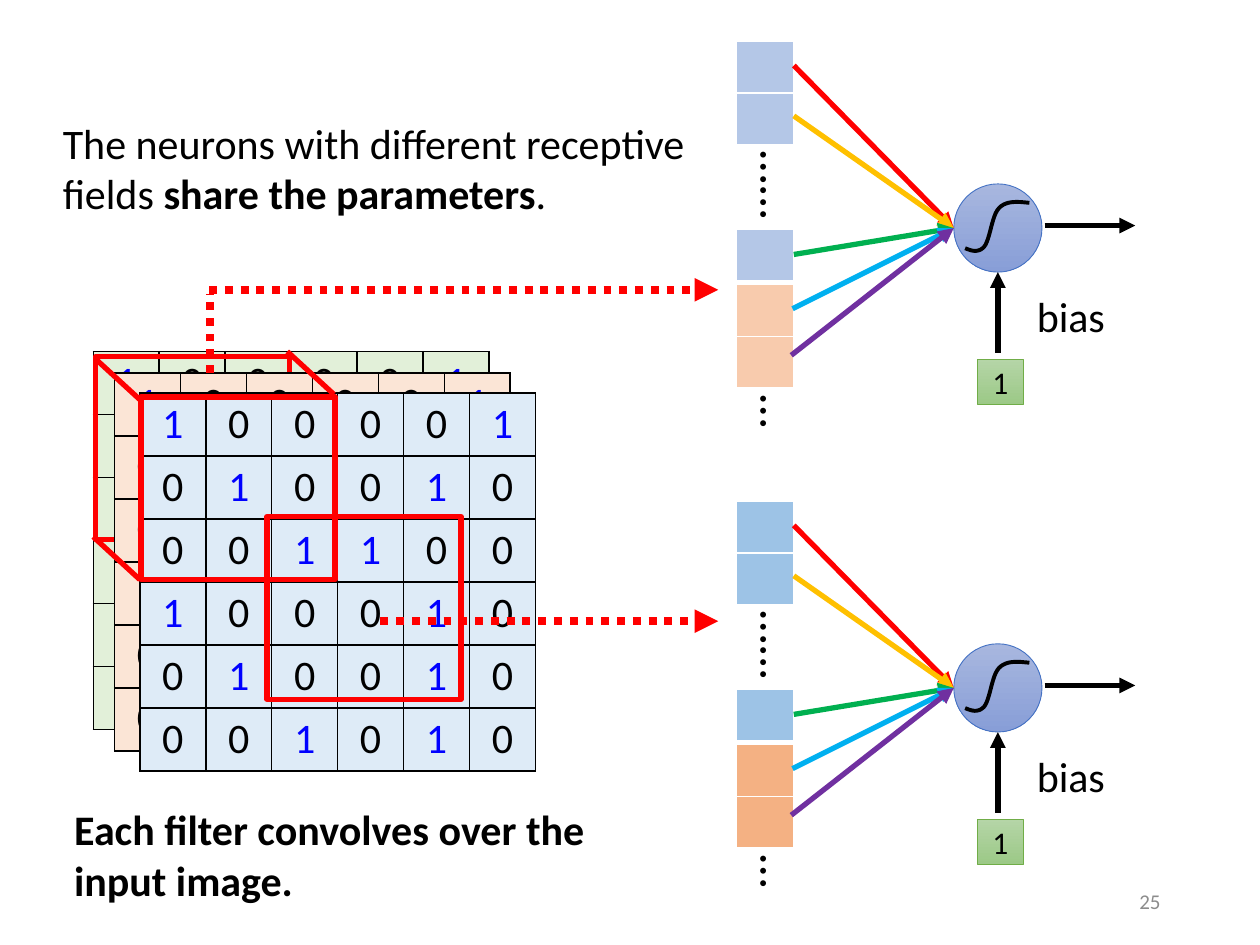
"""Build a slide on neurons that share parameters across receptive fields."""
from dataclasses import dataclass

from lxml.etree import SubElement
from pptx import Presentation
from pptx.dml.color import RGBColor as Rgb
from pptx.enum.dml import MSO_LINE_DASH_STYLE as Dash
from pptx.enum.shapes import MSO_CONNECTOR as Connector, MSO_SHAPE as Preset
from pptx.enum.text import MSO_ANCHOR as Anchor, MSO_AUTO_SIZE as AutoSize, PP_ALIGN as Align
from pptx.oxml.ns import qn
from pptx.util import Pt

PX = 9144
FONT = "Calibri"
BLACK = Rgb(0x00, 0x00, 0x00)
GREY = Rgb(0x8C, 0x8C, 0x8C)
RED = Rgb(0xFF, 0x00, 0x00)
DIGIT_BLUE = Rgb(0x00, 0x00, 0xFF)
GOLD = Rgb(0xFF, 0xC0, 0x00)
GREEN = Rgb(0x00, 0xB0, 0x50)
SKY = Rgb(0x00, 0xB0, 0xF0)
PURPLE = Rgb(0x70, 0x30, 0xA0)
NEURON_TOP, NEURON_BOTTOM = Rgb(0xA8, 0xB7, 0xDF), Rgb(0x88, 0x9E, 0xD7)
NEURON_LINE = Rgb(0x44, 0x72, 0xC4)
BIAS_TOP, BIAS_BOTTOM = Rgb(0xB5, 0xD5, 0xA7), Rgb(0x9C, 0xC9, 0x87)
BIAS_LINE = Rgb(0x70, 0xAD, 0x47)

PIXELS = ("100001", "010010", "001100", "100010", "010010", "001010")
SIGMOID = (
    ((817, 161), (808, 160), (799, 159), (793, 165)),
    ((793, 165), (787, 171), (786, 190), (781, 196)),
    ((781, 196), (776, 201), (771, 199), (766, 197)),
)


@dataclass(frozen=True)
class Neuron:
    """One neuron drawing: its vertical shift and input colours."""
    shift: int
    upper: Rgb
    lower: Rgb


@dataclass(frozen=True)
class Channel:
    """One channel of the input image."""
    left: int
    top: int
    fill: Rgb


@dataclass(frozen=True)
class Words:
    """A run of text."""
    text: str
    bold: bool = False


NEURONS = (
    Neuron(0, Rgb(0xB4, 0xC7, 0xE7), Rgb(0xF8, 0xCB, 0xAD)),
    Neuron(365, Rgb(0x9D, 0xC3, 0xE6), Rgb(0xF4, 0xB1, 0x83)),
)
BACK = Channel(74, 279, Rgb(0xE2, 0xF0, 0xD9))
MIDDLE = Channel(91, 296, Rgb(0xFB, 0xE5, 0xD6))
FRONT = Channel(111, 312, Rgb(0xDE, 0xEB, 0xF7))
INPUTS = ((630, 52, RED), (630, 92, GOLD), (630, 202, GREEN), (629, 245, SKY), (628, 282, PURPLE))


def emu(*lengths: float) -> list[int]:
    """Turn px lengths into EMU."""
    return [round(length * PX) for length in lengths]


def add_run(para, words: Words, size: int, colour: Rgb) -> None:
    """Append one formatted run to a paragraph."""
    run = para.add_run()
    run.text = words.text
    run.font.name, run.font.size, run.font.bold = FONT, Pt(size), words.bold
    run.font.color.rgb = colour


def add_text(page, at: tuple, runs: list[Words], size: int, colour: Rgb = BLACK, rotation: int = 0):
    """Add a wrapping text box and return it."""
    box = page.shapes.add_textbox(*emu(*at))
    box.rotation = rotation
    box.text_frame.word_wrap = True
    box.text_frame.auto_size = AutoSize.SHAPE_TO_FIT_TEXT
    for words in runs:
        add_run(box.text_frame.paragraphs[0], words, size, colour)
    return box


def add_line(page, start: tuple, end: tuple, colour: Rgb, width: float = 3,
             arrow: bool = True, dotted: bool = False) -> None:
    """Add a straight line, with an arrowhead at its end if wanted."""
    link = page.shapes.add_connector(Connector.STRAIGHT, *emu(*start, *end))
    link.line.color.rgb = colour
    link.line.width = Pt(width)
    if dotted:
        link.line.dash_style = Dash.ROUND_DOT
    if arrow:
        SubElement(link.line._get_or_add_ln(), qn("a:tailEnd"), type="triangle")
    SubElement(link._element.spPr, qn("a:effectLst"))


def add_gradient_shape(page, preset, at: tuple, top: Rgb, bottom: Rgb, outline: Rgb):
    """Add a shape shaded from top to bottom and return it."""
    shape = page.shapes.add_shape(preset, *emu(*at))
    shape.shadow.inherit = False
    shape.fill.gradient()
    shape.fill.gradient_angle = 270
    for stop, colour in zip(shape.fill.gradient_stops, (top, bottom)):
        stop.color.rgb = colour
    shape.line.color.rgb = outline
    shape.line.width = Pt(0.5)
    return shape


def add_field(page, left: int, top: int) -> None:
    """Outline a receptive field in red."""
    field = page.shapes.add_shape(Preset.RECTANGLE, *emu(left, top, 154, 145))
    field.shadow.inherit = False
    field.fill.background()
    field.line.color.rgb = RED
    field.line.width = Pt(3)


def add_inputs(page, top: int, count: int, colour: Rgb) -> None:
    """Add a column of input cells."""
    table = page.shapes.add_table(count, 1, *emu(584, top, 46, 41 * count)).table
    for cell in table.iter_cells():
        cell.fill.solid()
        cell.fill.fore_color.rgb = colour


def add_borders(cell) -> None:
    """Give a cell thin black borders, ahead of its fill."""
    props = cell._tc.get_or_add_tcPr()
    for index, side in enumerate(("a:lnL", "a:lnR", "a:lnT", "a:lnB")):
        border = SubElement(props, qn(side), w=str(Pt(1)))
        fill = SubElement(border, qn("a:solidFill"))
        SubElement(fill, qn("a:srgbClr"), val=str(BLACK))
        props.insert(index, border)


def add_channel(page, channel: Channel) -> None:
    """Add one channel as a grid of digits."""
    size = len(PIXELS)
    table = page.shapes.add_table(size, size, *emu(channel.left, channel.top, 314, 300)).table
    for cell, digit in zip(table.iter_cells(), "".join(PIXELS)):
        cell.margin_top, cell.margin_bottom = emu(4, 4)
        cell.fill.solid()
        cell.fill.fore_color.rgb = channel.fill
        add_borders(cell)
        para = cell.text_frame.paragraphs[0]
        para.alignment = Align.CENTER
        add_run(para, Words(digit), 24, DIGIT_BLUE if digit == "1" else BLACK)


def add_sigmoid(page, shift: int):
    """Add the activation curve and return it."""
    points = []
    for a, b, c, d in SIGMOID:
        for step in range(1, 13):
            t = step / 12
            weights = ((1 - t) ** 3, 3 * t * (1 - t) ** 2, 3 * t * t * (1 - t), t ** 3)
            x, y = (sum(w * v for w, v in zip(weights, axis)) for axis in zip(a, b, c, d))
            points.append(emu(x, y + shift))
    first_x, first_y = SIGMOID[0][0]
    builder = page.shapes.build_freeform(*emu(first_x, first_y + shift))
    builder.add_line_segments(points, close=False)
    curve = builder.convert_to_shape()
    curve.shadow.inherit = False
    curve.fill.background()
    curve.line.color.rgb = BLACK
    curve.line.width = Pt(2.25)
    return curve


def add_neuron(page, neuron: Neuron) -> None:
    """Add a neuron with its inputs, bias and output."""
    dy = neuron.shift
    add_inputs(page, 33 + dy, 2, neuron.upper)
    add_inputs(page, 182 + dy, 1, neuron.upper)
    add_inputs(page, 226 + dy, 2, neuron.lower)
    for top, dots in ((122, "…..."), (316, "…")):
        add_text(page, (578, top + dy, 82, 57), [Words(dots)], 28, rotation=90)
    body = add_gradient_shape(page, Preset.OVAL, (757, 146 + dy, 70, 70),
                              NEURON_TOP, NEURON_BOTTOM, NEURON_LINE)
    page.shapes.add_group_shape([body, add_sigmoid(page, dy)])
    add_line(page, (829, 179 + dy), (901, 179 + dy), BLACK)
    for x, y, colour in INPUTS:
        add_line(page, (x, y + dy), (757, 181 + dy), colour)
    add_line(page, (792, 280 + dy), (792, 216 + dy), BLACK)
    bias = add_gradient_shape(page, Preset.RECTANGLE, (776, 285 + dy, 36, 36),
                              BIAS_TOP, BIAS_BOTTOM, BIAS_LINE)
    bias.text_frame.vertical_anchor = Anchor.MIDDLE
    para = bias.text_frame.paragraphs[0]
    para.alignment = Align.CENTER
    add_run(para, Words("1"), 18, BLACK)
    add_text(page, (813, 226 + dy, 131, 50), [Words("bias")], 24)


def main() -> None:
    """Build and save the deck."""
    deck = Presentation()
    deck.slide_width, deck.slide_height = emu(1000, 750)
    page = deck.slides.add_slide(deck.slide_layouts[6])
    for neuron in NEURONS:
        add_neuron(page, neuron)
    add_channel(page, BACK)
    add_field(page, 76, 283)
    add_channel(page, MIDDLE)
    add_channel(page, FRONT)
    add_field(page, 112, 315)
    for x, y in ((74, 426), (228, 279), (76, 285)):
        add_line(page, (x, y), (x + 37, y + 34), RED, arrow=False)
    add_field(page, 212, 410)
    add_line(page, (167, 296), (167, 233), RED, 4.5, arrow=False, dotted=True)
    for x, y in ((166, 230), (302, 493)):
        add_line(page, (x, y), (570, y), RED, 4.5, dotted=True)
    number = add_text(page, (706, 695, 225, 40), [Words("25")], 12, GREY)
    number.text_frame.auto_size = AutoSize.NONE
    number.text_frame.vertical_anchor = Anchor.MIDDLE
    number.text_frame.paragraphs[0].alignment = Align.RIGHT
    add_text(page, (40, 88, 524, 91), [Words("The neurons with different receptive fields "),
                                       Words("share the parameters", True), Words(".")], 24)
    add_text(page, (49, 633, 437, 91), [Words("Each filter convolves over the input image.", True)], 24)
    deck.save("out.pptx")


if __name__ == "__main__":
    main()
